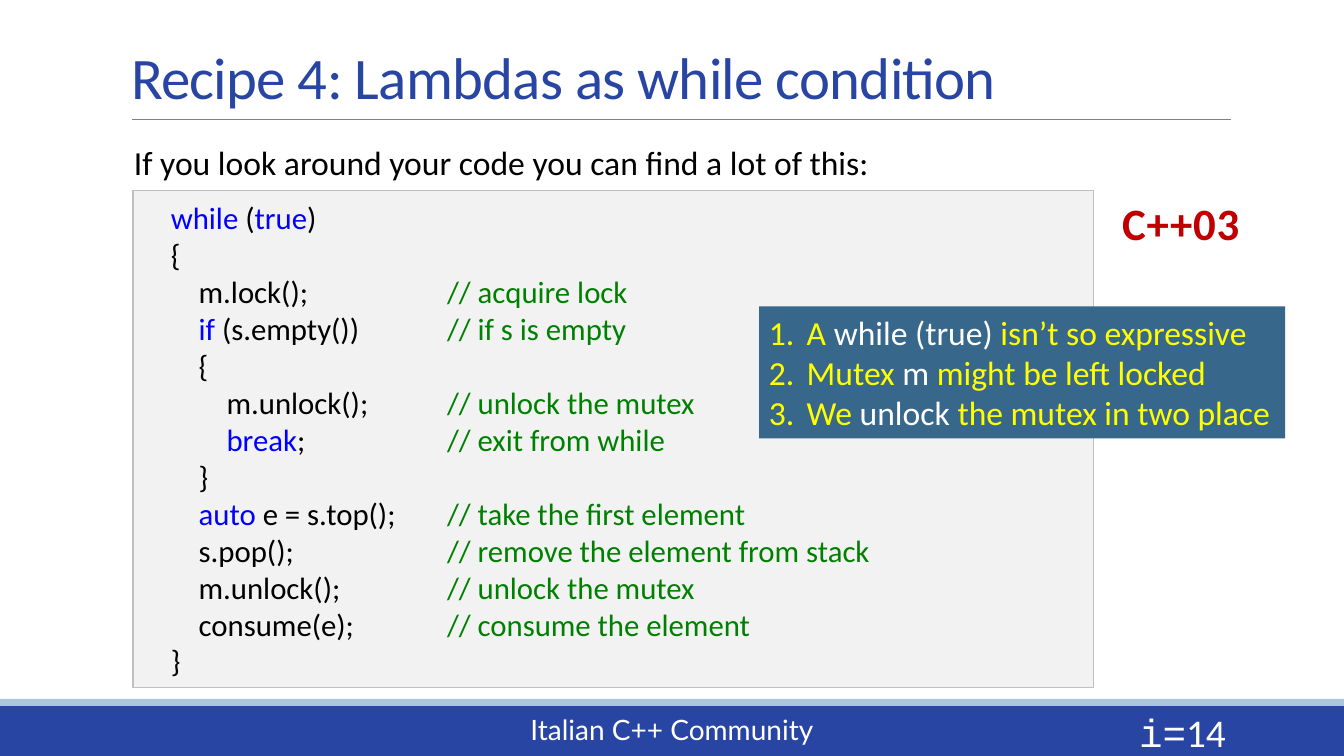
from lxml.etree import SubElement
from pptx import Presentation
from pptx.dml.color import RGBColor
from pptx.enum.shapes import MSO_CONNECTOR, MSO_SHAPE
from pptx.enum.text import MSO_ANCHOR, MSO_AUTO_SIZE, PP_ALIGN
from pptx.oxml.ns import qn
from pptx.util import Emu, Pt

COLS, ROWS, CELL = 80, 45, 152400

WHITE = RGBColor(0xFF, 0xFF, 0xFF)
BLACK = RGBColor(0x00, 0x00, 0x00)
NAVY = RGBColor(0x29, 0x45, 0xA4)
SKY = RGBColor(0xAB, 0xC7, 0xDD)
GRAY = RGBColor(0x80, 0x80, 0x80)
PANEL = RGBColor(0xF2, 0xF2, 0xF2)
PANEL_EDGE = RGBColor(0xBF, 0xBF, 0xBF)
KEYWORD = RGBColor(0x00, 0x00, 0xFF)
COMMENT = RGBColor(0x00, 0x80, 0x00)
STEEL = RGBColor(0x38, 0x67, 0x8C)
YELLOW = RGBColor(0xFF, 0xFF, 0x00)
RED = RGBColor(0xC0, 0x00, 0x00)

INDENT, COMMENT_COL = 1.66, 18.1

CODE = [
    (1, [("while", KEYWORD), (" (", BLACK), ("true", KEYWORD), (")", BLACK)], ""),
    (1, [("{", BLACK)], ""),
    (2, [("m.lock();", BLACK)], "// acquire lock"),
    (2, [("if", KEYWORD), (" (s.empty())", BLACK)], "// if s is empty"),
    (2, [("{", BLACK)], ""),
    (3, [("m.unlock();", BLACK)], "// unlock the mutex"),
    (3, [("break", KEYWORD), (";", BLACK)], "// exit from while"),
    (2, [("}", BLACK)], ""),
    (2, [("auto ", KEYWORD), ("e = s.top();", BLACK)], "// take the first element"),
    (2, [("s.pop();", BLACK)], "// remove the element from stack"),
    (2, [("m.unlock();", BLACK)], "// unlock the mutex"),
    (2, [("consume(e);", BLACK)], "// consume the element"),
    (1, [("}", BLACK)], ""),
]

ISSUES = [
    [("A ", YELLOW), ("while (true) ", WHITE), ("isn’t so expressive", YELLOW)],
    [("Mutex ", YELLOW), ("m", WHITE), (" might be left locked", YELLOW)],
    [("We ", YELLOW), ("unlock", WHITE), (" the mutex in two place", YELLOW)],
]


def cells(n):
    """Convert grid cells to a length."""
    return Emu(round(n * CELL))


def add_run(p, text, size, color, font="Calibri", bold=False, spacing=None):
    """Append one formatted run to a paragraph."""
    r = p.add_run()
    r.text = text
    r.font.size, r.font.name, r.font.bold = Pt(size), font, bold
    r.font.color.rgb = color
    if spacing is not None:
        r.font._element.set("spc", str(round(spacing * 100)))


def add_rect(s, box, fill, edge=None):
    """Add a flat rectangle with an optional outline."""
    sp = s.shapes.add_shape(MSO_SHAPE.RECTANGLE, *map(cells, box))
    sp.shadow.inherit = False
    sp.fill.solid()
    sp.fill.fore_color.rgb = fill
    if edge is None:
        sp.line.fill.background()
    else:
        sp.line.color.rgb, sp.line.width = edge, Pt(1.25)
    return sp


def add_label(s, box, runs, align=PP_ALIGN.LEFT, anchor=MSO_ANCHOR.TOP, wrap=True):
    """Add a one-line text box made of formatted runs."""
    tf = s.shapes.add_textbox(*map(cells, box)).text_frame
    tf.word_wrap, tf.vertical_anchor = wrap, anchor
    p = tf.paragraphs[0]
    p.alignment = align
    for run in runs:
        add_run(p, *run)


def add_footer(s, box):
    """Draw the bottom bands with the community name and slide number."""
    x, y, w, h = box
    add_rect(s, (x, y + 0.4, w, h - 0.4), NAVY)
    add_rect(s, (x, y, w, 0.4), SKY)
    add_label(s, (x, y + 0.52, w, 2.62),
              [("Italian C++ Community", 20, WHITE, "Lato")], PP_ALIGN.CENTER)
    add_label(s, (x + w - 15.02, y + 0.76, 8.58, 2.4),
              [("i=", 28, WHITE, "Courier New"), ("14", 28, WHITE)],
              PP_ALIGN.RIGHT, MSO_ANCHOR.MIDDLE)


def add_title(s, box, text):
    """Place the title and the rule under it."""
    x, y, w, h = box
    sp = s.shapes.title
    sp.left, sp.top, sp.width, sp.height = map(cells, box)
    tf = sp.text_frame
    tf.auto_size, tf.vertical_anchor = MSO_AUTO_SIZE.NONE, MSO_ANCHOR.BOTTOM
    p = tf.paragraphs[0]
    p.alignment, p.line_spacing = PP_ALIGN.LEFT, 0.85
    add_run(p, text, 42, NAVY, spacing=-0.5)
    rule_y = cells(y + h + 0.12)
    rule = s.shapes.add_connector(MSO_CONNECTOR.STRAIGHT, cells(x + 0.66), rule_y,
                                  cells(x + w + 0.06), rule_y)
    rule.line.color.rgb, rule.line.width = GRAY, Pt(0.5)
    SubElement(rule._element.spPr, qn("a:effectLst"))


def add_code(s, box):
    """Draw the code panel with tab stops for indents and comments."""
    tf = add_rect(s, box, PANEL, PANEL_EDGE).text_frame
    tf.word_wrap, tf.vertical_anchor = True, MSO_ANCHOR.MIDDLE
    for i, (depth, code, comment) in enumerate(CODE):
        p = tf.add_paragraph() if i else tf.paragraphs[0]
        p.alignment = PP_ALIGN.LEFT
        tabs = SubElement(p._p.get_or_add_pPr(), qn("a:tabLst"))
        for stop in (depth * INDENT, COMMENT_COL):
            SubElement(tabs, qn("a:tab"), pos=str(cells(stop)), algn="l")
        add_run(p, "\t", 22, BLACK)
        for text, color in code:
            add_run(p, text, 22, color)
        if comment:
            add_run(p, "\t" + comment, 22, COMMENT)


def add_issues(s, box):
    """Draw the callout with the numbered issues."""
    tf = add_rect(s, box, STEEL).text_frame
    tf.word_wrap, tf.vertical_anchor = False, MSO_ANCHOR.TOP
    tf.auto_size = MSO_AUTO_SIZE.SHAPE_TO_FIT_TEXT
    hang = cells(2.25)
    for i, issue in enumerate(ISSUES):
        p = tf.add_paragraph() if i else tf.paragraphs[0]
        p.alignment = PP_ALIGN.LEFT
        pPr = p._p.get_or_add_pPr()
        pPr.set("marL", str(hang))
        pPr.set("indent", str(-hang))
        SubElement(pPr, qn("a:buFont"), typeface="+mj-lt")
        SubElement(pPr, qn("a:buAutoNum"), type="arabicPeriod")
        for text, color in issue:
            add_run(p, text, 24, color)


def main():
    """Build and save the slide."""
    prs = Presentation()
    prs.slide_width, prs.slide_height = cells(COLS), cells(ROWS)
    s = prs.slides.add_slide(prs.slide_layouts[5])
    add_footer(s, (0, ROWS - 3.4, COLS, 3.4))
    add_title(s, (7.2, 0.06, 66, 6.9), "Recipe 4: Lambdas as while condition")
    add_label(s, (7.38, 8.16, 64.26, 3),
              [("If you look around your code you can find a lot of this:", 24, BLACK)])
    add_code(s, (7.92, 11.34, 57.18, 29.58))
    add_issues(s, (45.18, 18.24, 31.32, 7.86))
    add_label(s, (66.12, 11.34, 8.34, 3.84),
              [("C++03", 32, RED, "Calibri", True, 0.5)], PP_ALIGN.CENTER, wrap=False)
    prs.save("out.pptx")


if __name__ == "__main__":
    main()
